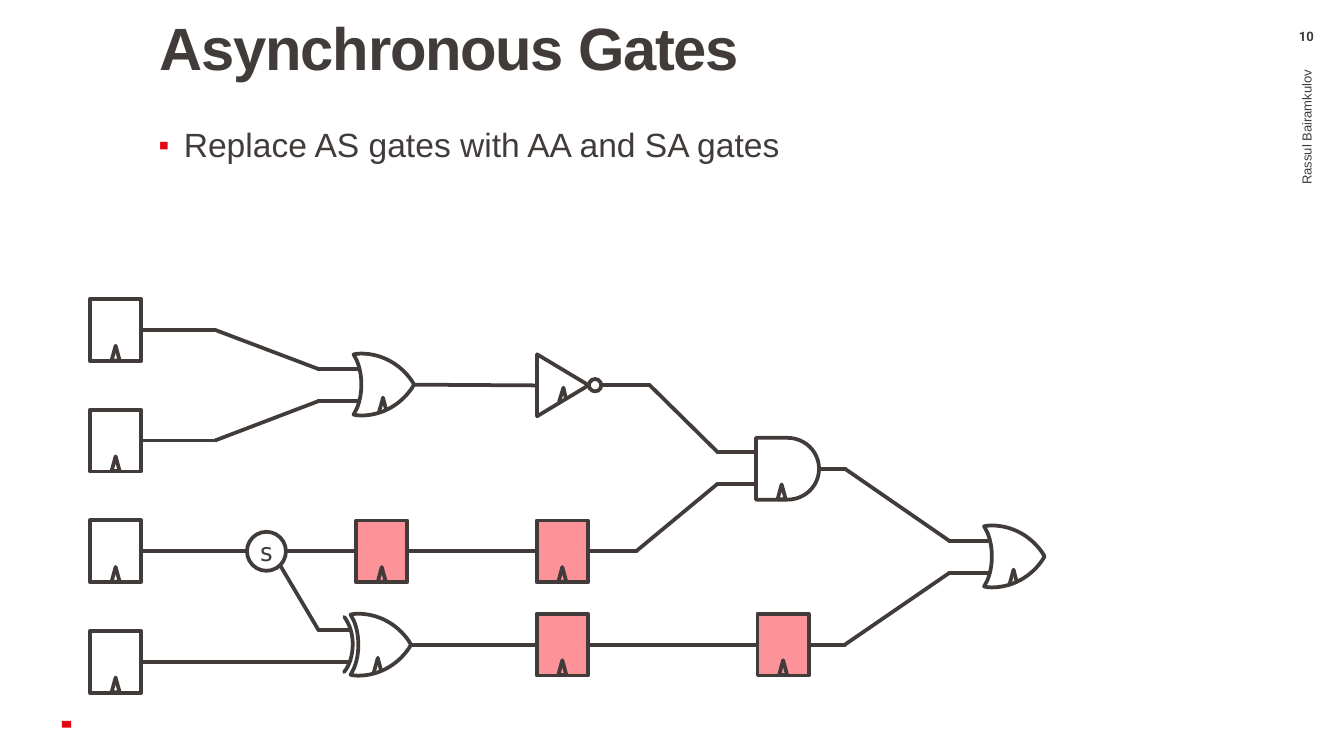
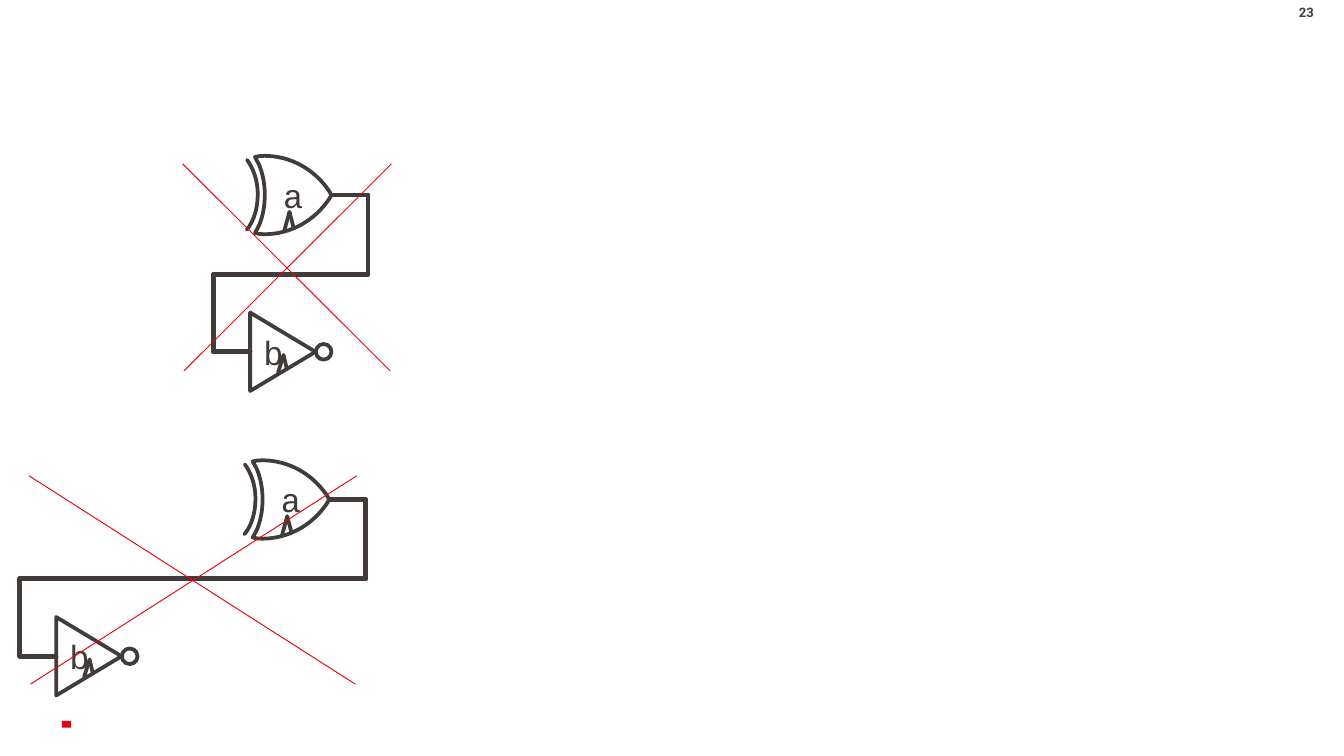
from dataclasses import dataclass
from itertools import pairwise

from lxml import etree
from pptx import Presentation
from pptx.dml.color import RGBColor
from pptx.enum.shapes import MSO_CONNECTOR, MSO_SHAPE
from pptx.enum.text import MSO_ANCHOR, PP_ALIGN
from pptx.oxml.ns import qn
from pptx.util import Pt

RECTANGLE, TRIANGLE, OVAL = MSO_SHAPE.RECTANGLE, MSO_SHAPE.ISOSCELES_TRIANGLE, MSO_SHAPE.OVAL
DELAY = MSO_SHAPE.FLOWCHART_DELAY
STRAIGHT = MSO_CONNECTOR.STRAIGHT
TOP, MIDDLE = MSO_ANCHOR.TOP, MSO_ANCHOR.MIDDLE
LEFT, CENTER, RIGHT = PP_ALIGN.LEFT, PP_ALIGN.CENTER, PP_ALIGN.RIGHT


@dataclass(frozen=True)
class Theme:
    """Colours, fonts, type sizes and line weights of the deck."""

    ink: RGBColor = RGBColor.from_string("413C3A")
    red: RGBColor = RGBColor.from_string("E30613")
    pink: RGBColor = RGBColor.from_string("FC9399")
    white: RGBColor = RGBColor.from_string("FFFFFF")
    sans: str = "Arial"
    folio_font: str = "Roboto"
    gate_font: str = "Courier New"
    splitter_font: str = "DejaVu Sans Mono"
    title_size: float = 32
    body_size: float = 18
    splitter_size: float = 13.5
    small_size: float = 7
    stroke: float = 2
    thick: float = 2.5
    hairline: float = 0.5


THEME = Theme()
SMALL = 0.79
REGISTER_WIDTH, REGISTER_HEIGHT = 27.4, 33.1
BODY_CURVES = [
    [(5, 0)],
    [(3.5, 0), (1.5, 0.2), (0, 0.6)],
    [(2.2, 4.7)],
    [(4.2, 9.5), (5.3, 15), (5.3, 21)],
    [(5.3, 27), (4.2, 32.5), (2.2, 37.3)],
    [(0, 41.4)],
    [(1.5, 41.8), (3.5, 42), (5, 42)],
    [(19.5, 42), (32, 34.5), (39.6, 23.4)],
    [(41, 21)],
    [(39.6, 18.6)],
    [(32, 7.5), (19.5, 0), (5, 0)],
]
XOR_CURVES = [
    [(-4.2, 2.2)],
    [(-1, 6.5), (1.5, 13), (1.5, 20.5)],
    [(1.5, 28), (-0.5, 35), (-4.4, 39.6)],
]


def style_line(shape, color, width):
    """Give a shape or connector a solid line with round caps and joins."""
    shape.line.color.rgb = color
    shape.line.width = Pt(width)
    line = shape.element.spPr.find(qn("a:ln"))
    line.set("cap", "rnd")
    etree.SubElement(line, qn("a:round"))


def style_text(frame, text, font, size, bold=False, align=CENTER, anchor=MIDDLE, insets=None):
    """Set the text of a frame and format its only paragraph."""
    frame.text = text
    frame.word_wrap = True
    frame.vertical_anchor = anchor
    if insets:
        frame.margin_left, frame.margin_top, frame.margin_right, frame.margin_bottom = map(Pt, insets)
    paragraph = frame.paragraphs[0]
    paragraph.alignment = align
    run = paragraph.runs[0]
    run.font.name, run.font.size, run.font.bold = font, Pt(size), bold
    run.font.color.rgb = THEME.ink
    return paragraph


def add_text(slide, box, text, size, **style):
    """Add a text box and return it with its paragraph."""
    text_box = slide.shapes.add_textbox(*map(Pt, box))
    font = style.pop("font", THEME.sans)
    return text_box, style_text(text_box.text_frame, text, font, size, **style)


def add_solid(group, preset, box, fill=THEME.white):
    """Add an outlined preset shape."""
    solid = group.shapes.add_shape(preset, *map(Pt, box))
    solid.shadow.inherit = False
    solid.fill.solid()
    solid.fill.fore_color.rgb = fill
    style_line(solid, THEME.ink, THEME.stroke)
    return solid


def add_wire(group, points, color=THEME.ink, width=THEME.stroke):
    """Join successive points with straight connectors."""
    for start, end in pairwise(points):
        segment = group.shapes.add_connector(STRAIGHT, *map(Pt, start + end))
        style_line(segment, color, width)
        etree.SubElement(segment.element.spPr, qn("a:effectLst"))


def place(points, left, top, scale):
    """Scale points and move them to a gate's corner."""
    return [(left + x * scale, top + y * scale) for x, y in points]


def add_outline(group, pieces, closed):
    """Add a freeform of straight and cubic pieces, filled when closed."""
    first, *rest = [tuple(map(Pt, piece[-1])) for piece in pieces]
    builder = group.shapes.build_freeform(*first)
    builder.add_line_segments(rest, close=closed)
    outline = builder.convert_to_shape()
    segments = outline.element.findall(".//" + qn("a:lnTo"))
    for segment, (*controls, _) in zip(segments, pieces[1:]):
        if controls:
            segment.tag = qn("a:cubicBezTo")
        for index, (x, y) in enumerate(controls):
            local = {"x": str(Pt(x) - outline.left), "y": str(Pt(y) - outline.top)}
            segment.insert(index, etree.Element(qn("a:pt"), local))
    outline.shadow.inherit = False
    if closed:
        outline.fill.solid()
        outline.fill.fore_color.rgb = THEME.white
    else:
        outline.fill.background()
    style_line(outline, THEME.ink, THEME.stroke)
    return outline


def add_or_gate(group, left, top, scale=1, exclusive=False, label=None):
    """Draw a clocked OR gate, or XOR when exclusive."""
    corner = left, top, scale
    body = add_outline(group, [place(piece, *corner) for piece in BODY_CURVES], True)
    if label:
        style_text(body.text_frame, label, THEME.gate_font, THEME.body_size)
    if exclusive:
        add_outline(group, [place(piece, *corner) for piece in XOR_CURVES], False)
    tip = 18.5 if exclusive else 20
    add_wire(group, place([(tip - 2.8, 40.2), (tip, 30), (tip + 2.1, 38.2)], *corner))


def add_inverter(group, left, top, scale=1, label=None):
    """Draw a clocked inverter pointing right."""
    width, height = 35 * scale, 42 * scale
    shift = (height - width) / 2
    body = add_solid(group, TRIANGLE, (left - shift, top + shift, height, width))
    body.rotation = 90
    if label:
        style_text(body.text_frame, label, THEME.gate_font, THEME.body_size)
        body.text_frame._txBody.bodyPr.set("vert", "vert270")
    bubble = 8.4 * scale
    add_solid(group, OVAL, (left + 35.2 * scale, top + 16.8 * scale, bubble, bubble))
    add_wire(group, place([(15, 32), (17.9, 22.7), (19.5, 29.5)], left, top, scale))


def add_clocked_block(group, left, top, fill=THEME.white, preset=RECTANGLE, width=REGISTER_WIDTH):
    """Draw a block with a clock mark on its lower edge."""
    add_solid(group, preset, (left, top, width, REGISTER_HEIGHT), fill)
    add_solid(group, TRIANGLE, (left + 11.6, top + 24.9, 4.3, 7.9), fill)


def add_cross(group, left, top, right, bottom):
    """Strike out an area with two thin red diagonals."""
    for diagonal in ([(left, top), (right, bottom)], [(right + 0.7, top), (left + 0.7, bottom)]):
        add_wire(group, diagonal, THEME.red, THEME.hairline)


def add_forbidden_pair(slide, xor_left, xor_top, inverter_left, cross):
    """Draw gate a feeding gate b backwards, struck out."""
    stub = 19.5
    output, output_y = xor_left + 41, xor_top + 21
    turn_y, input_y = xor_top + 63.4, xor_top + 105
    add_or_gate(slide.shapes.add_group_shape(), xor_left, xor_top, exclusive=True, label="a")
    add_inverter(slide.shapes.add_group_shape(), inverter_left, input_y - 21, label="b")
    route = [
        (output, output_y), (output + stub, output_y), (output + stub, turn_y),
        (inverter_left - stub, turn_y), (inverter_left - stub, input_y), (inverter_left, input_y),
    ]
    add_wire(slide, route, width=THEME.thick)
    add_cross(slide.shapes.add_group_shape(), *cross)


def start_slide(deck, number, number_top, anchor):
    """Add a blank slide with the red mark and its number."""
    slide = deck.slides.add_slide(deck.slide_layouts[6])
    mark = slide.shapes.add_shape(RECTANGLE, Pt(33.9), Pt(385.5), Pt(3.6), Pt(5))
    mark.rotation = 270
    mark.shadow.inherit = False
    mark.fill.solid()
    mark.fill.fore_color.rgb = THEME.red
    mark.line.fill.background()
    add_text(slide, (679.7, number_top, 40.3, 13), number, THEME.small_size,
             font=THEME.folio_font, bold=True, anchor=anchor, insets=(7.2, 0, 7.2, 0))
    return slide


def add_headings(slide, title, point, author):
    """Add the title, the bulleted point and the upright author name."""
    _, heading = add_text(slide, (71.3, 10, 491, 43.2), title, THEME.title_size, bold=True,
                          align=LEFT, anchor=TOP, insets=(14.4, 0, 5.8, 3.6))
    heading.line_spacing = 0.9
    heading.runs[0].font._element.set("spc", "-70")
    name_box, _ = add_text(slide, (560.5, 147.6, 278.6, 40.3), author, THEME.small_size, align=RIGHT)
    name_box.rotation = 270
    _, bullet = add_text(slide, (70.6, 65.5, 576, 72.7), point, THEME.body_size,
                         align=LEFT, anchor=TOP, insets=(14.4, 3.6, 7.2, 3.6))
    bullet.line_spacing = 0.9
    bullet.space_before = Pt(7.5)
    properties = bullet._p.get_or_add_pPr()
    properties.set("marL", str(Pt(13.5)))
    properties.set("indent", str(-Pt(13.5)))
    bullet_color = etree.SubElement(properties, qn("a:buClr"))
    etree.SubElement(bullet_color, qn("a:srgbClr"), val=str(THEME.red))
    etree.SubElement(properties, qn("a:buSzPct"), val="90000")
    etree.SubElement(properties, qn("a:buFont"), typeface=THEME.sans)
    etree.SubElement(properties, qn("a:buChar"), char="▪")


def draw_circuit(group):
    """Draw the gate network with its inserted registers in pink."""
    input_tops = [160.3 + 59.25 * row for row in range(4)]
    first, second, third, fourth = (top + REGISTER_HEIGHT / 2 - 0.1 for top in input_tops)
    xor_y, inverter_y, and_y = 345.4, 206.1, 251.1
    routes = [
        [(75.6, first), (115.2, first), (170.6, 197.7), (191.5, 197.7)],
        [(75.6, second), (115.2, second), (170.6, 214.9), (191.5, 214.9)],
        [(75.6, third), (190.8, third)],
        [(75.6, fourth), (187.2, fourth)],
        [(149.8, 302.4), (170.6, 337.5), (187.2, 337.5)],
        [(221.8, inverter_y), (288, inverter_y + 0.4)],
        [(321.8, inverter_y), (347.8, inverter_y), (384.3, 242.1), (405.4, 242.1)],
        [(218.2, third), (287.3, third)],
        [(314.6, third), (340.9, third), (384.3, 259.3), (405.4, 259.3)],
        [(220.3, xor_y), (287.3, xor_y)],
        [(315, xor_y), (406, xor_y)],
        [(433.4, xor_y), (452.6, xor_y), (508.5, 307), (529.2, 307)],
        [(438.5, and_y), (452.6, and_y), (508.5, 289.7), (529.2, 289.7)],
    ]
    for route in routes:
        add_wire(group, route)
    for top in input_tops:
        add_clocked_block(group, 48.2, top)
    for left, top in [(190.8, 278.9), (287.5, 278.9), (287.5, 328.8), (405.8, 328.8)]:
        add_clocked_block(group, left, top, THEME.pink)
    add_or_gate(group, 189.4, 189.4, SMALL)
    add_or_gate(group, 187.8, 328.8, SMALL, exclusive=True)
    add_or_gate(group, 527.2, 281.5, SMALL)
    add_inverter(group, 287.7, 189.8, SMALL)
    add_clocked_block(group, 405, 234.6, preset=DELAY, width=33.8)
    splitter = add_solid(group, OVAL, (132.3, 284.9, 20.9, 20.9))
    style_text(splitter.text_frame, "s", THEME.splitter_font, THEME.splitter_size, insets=(0, 0, 0, 0))


def main():
    """Build both slides and save the deck."""
    deck = Presentation()
    deck.slide_width, deck.slide_height = Pt(720), Pt(405)
    gates = start_slide(deck, "10", 15.1, TOP)
    add_headings(gates, "Asynchronous Gates", "Replace AS gates with AA and SA gates", "Rassul Bairamkulov ")
    draw_circuit(gates.shapes.add_group_shape())
    pairs = start_slide(deck, "23", 0, MIDDLE)
    add_forbidden_pair(pairs, 136.6, 83.5, 134, (97.9, 87.8, 209, 198.7))
    add_forbidden_pair(pairs, 135.4, 246.6, 30.1, (15.7, 255, 190.3, 366.5))
    deck.save("out.pptx")


if __name__ == "__main__":
    main()
